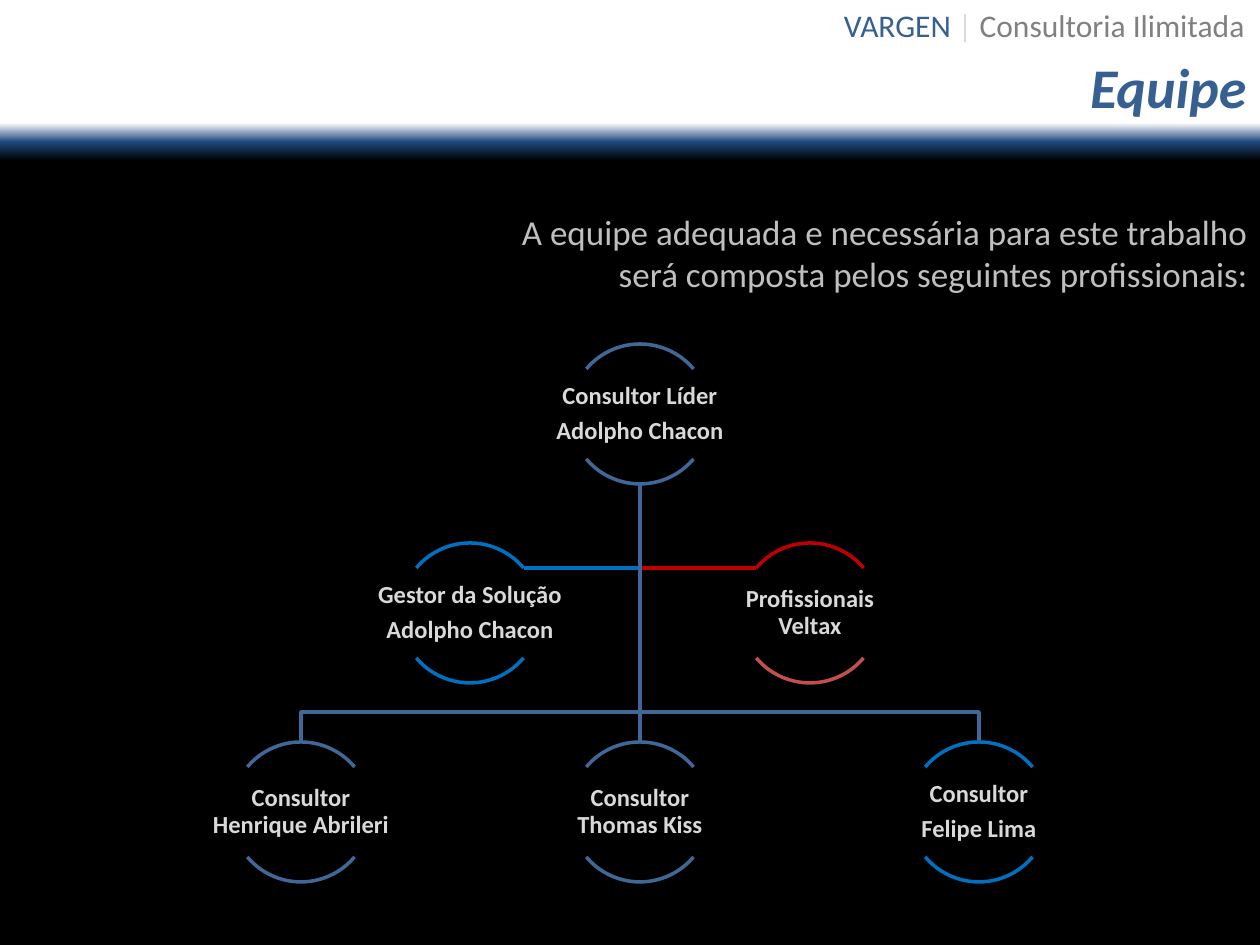
from copy import deepcopy

from pptx import Presentation
from pptx import util as u
from pptx.dml.color import RGBColor
from pptx.enum import shapes, text
from pptx.oxml.ns import qn

SCALE = 914400 / 126
WIDTH, HEIGHT = 1260, 945
NAVY, STEEL, BLUE = "376092", "3F6797", "0070C0"
RED, BRICK, PALE = "C00000", "C0504D", "D9D9D9"

MID, COL, SIDE = 640, 339, 170      # spine, column step, assistant offset
DISC = 140                          # diameter of a node
ROWS = [344 + 199 * row for row in range(3)]
BAR, RAIL = 568, 712                # heights of the two cross lines
TOP_ARC, LOW_ARC = (132, 192), (24, 84)


def px(n):
    return u.Emu(round(n * SCALE))


def rgb(code):
    return RGBColor.from_string(code)


def paint(slide, stops):
    """Fill the background with a downward gradient."""
    fill = slide.background.fill
    fill.gradient()
    fill.gradient_angle = 270
    held = slide._element.find(".//" + qn("a:gsLst"))
    while len(held) < len(stops):
        held.append(deepcopy(held[0]))
    for stop, (place, code) in zip(fill.gradient_stops, stops):
        stop.position = place
        stop.color.rgb = rgb(code)


def style(run, size, code, bold=False, italic=False):
    font = run.font
    font.name, font.size = "Calibri", u.Pt(size)
    font.bold, font.italic = bold, italic
    font.color.rgb = rgb(code)


def add_box(slide, left, top, width, height, anchor=text.MSO_ANCHOR.TOP):
    box = slide.shapes.add_textbox(px(left), px(top), px(width), px(height))
    frame = box.text_frame
    frame.word_wrap = True
    frame.vertical_anchor = anchor
    return frame


def add_runs(frame, parts, size, **look):
    """Write one right-aligned paragraph of (words, colour) parts."""
    para = frame.paragraphs[0]
    para.alignment = text.PP_ALIGN.RIGHT
    for words, code in parts:
        run = para.add_run()
        run.text = words
        style(run, size, code, **look)


def add_label(slide, mid, top, lines):
    """Centre the lines in a node; a line may hold a soft break."""
    frame = add_box(slide, mid - DISC, top + 25, 2 * DISC, 90,
                    text.MSO_ANCHOR.MIDDLE)
    frame.margin_left = frame.margin_right = px(1)
    frame.margin_top = frame.margin_bottom = px(1)
    for i, line in enumerate(lines):
        para = frame.add_paragraph() if i else frame.paragraphs[0]
        para.text = line
        para.alignment = text.PP_ALIGN.CENTER
        para.line_spacing = 0.9
        para.space_after = u.Pt(4.9)
        for run in para.runs:
            style(run, 14, PALE, bold=True)
        for gap in para._p.findall(qn("a:br")):
            gap.insert(0, deepcopy(para.runs[0]._r.rPr))


def outline(shape, code):
    shape.fill.background()
    shape.line.color.rgb = rgb(code)
    shape.line.width = u.Pt(2)
    shape.shadow.inherit = False


def add_arc(slide, mid, top, angles, code):
    arc = slide.shapes.add_shape(shapes.MSO_SHAPE.ARC, px(mid - DISC / 2),
                                 px(top), px(DISC), px(DISC))
    arc.adjustments[0], arc.adjustments[1] = angles
    outline(arc, code)


def add_node(slide, mid, top, lines, upper, lower):
    add_arc(slide, mid, top, TOP_ARC, upper)
    add_arc(slide, mid, top, LOW_ARC, lower)
    add_label(slide, mid, top, lines)


def add_path(slide, points, code):
    pen = slide.shapes.build_freeform(*points[0], scale=SCALE)
    pen.add_line_segments(points[1:], close=False)
    outline(pen.convert_to_shape(), code)


def add_links(slide):
    start = (MID, ROWS[0] + DISC)
    for end, code in ((756, RED), (524, BLUE)):
        add_path(slide, [start, (MID, BAR), (end, BAR)], code)
    for x in (MID + COL, MID - COL):
        add_path(slide, [start, (MID, RAIL), (x, RAIL), (x, ROWS[2])], STEEL)
    line = slide.shapes.add_connector(
        shapes.MSO_CONNECTOR.STRAIGHT,
        px(MID), px(start[1]), px(MID), px(ROWS[2]))
    line.line.color.rgb = rgb(STEEL)
    line.line.width = u.Pt(2)
    line._element.spPr.append(
        line._element.makeelement(qn("a:effectLst"), {}))


def main():
    deck = Presentation()
    deck.slide_width, deck.slide_height = px(WIDTH), px(HEIGHT)
    slide = deck.slides.add_slide(deck.slide_layouts[6])
    paint(slide, [(0.13, "FFFFFF"), (0.15, "1F497D"), (0.17, "000000")])

    add_runs(add_box(slide, 809, 0, 448, 55),
             [("VARGEN", NAVY), (" | ", PALE),
              ("Consultoria Ilimitada", "808080")], 18)
    add_runs(add_box(slide, 1, 0, 1258, 126, text.MSO_ANCHOR.BOTTOM),
             [("Equipe", NAVY)], 32, bold=True, italic=True)
    add_runs(add_box(slide, 474, 204, 786, 79),
             [("A equipe adequada e necessária para este trabalho "
               "será composta pelos seguintes profissionais:", "BFBFBF")], 20)

    add_links(slide)
    nodes = [
        (MID, 0, ["Consultor Líder", "Adolpho Chacon"], STEEL, STEEL),
        (MID - COL, 2, ["Consultor\nHenrique Abrileri"], STEEL, STEEL),
        (MID, 2, ["Consultor\nThomas Kiss"], STEEL, STEEL),
        (MID + COL, 2, ["Consultor", "Felipe Lima"], BLUE, BLUE),
        (MID - SIDE, 1, ["Gestor da Solução", "Adolpho Chacon"], BLUE, BLUE),
        (MID + SIDE, 1, ["Profissionais\nVeltax"], RED, BRICK),
    ]
    for mid, row, lines, upper, lower in nodes:
        add_node(slide, mid, ROWS[row], lines, upper, lower)
    deck.save("out.pptx")


if __name__ == "__main__":
    main()
